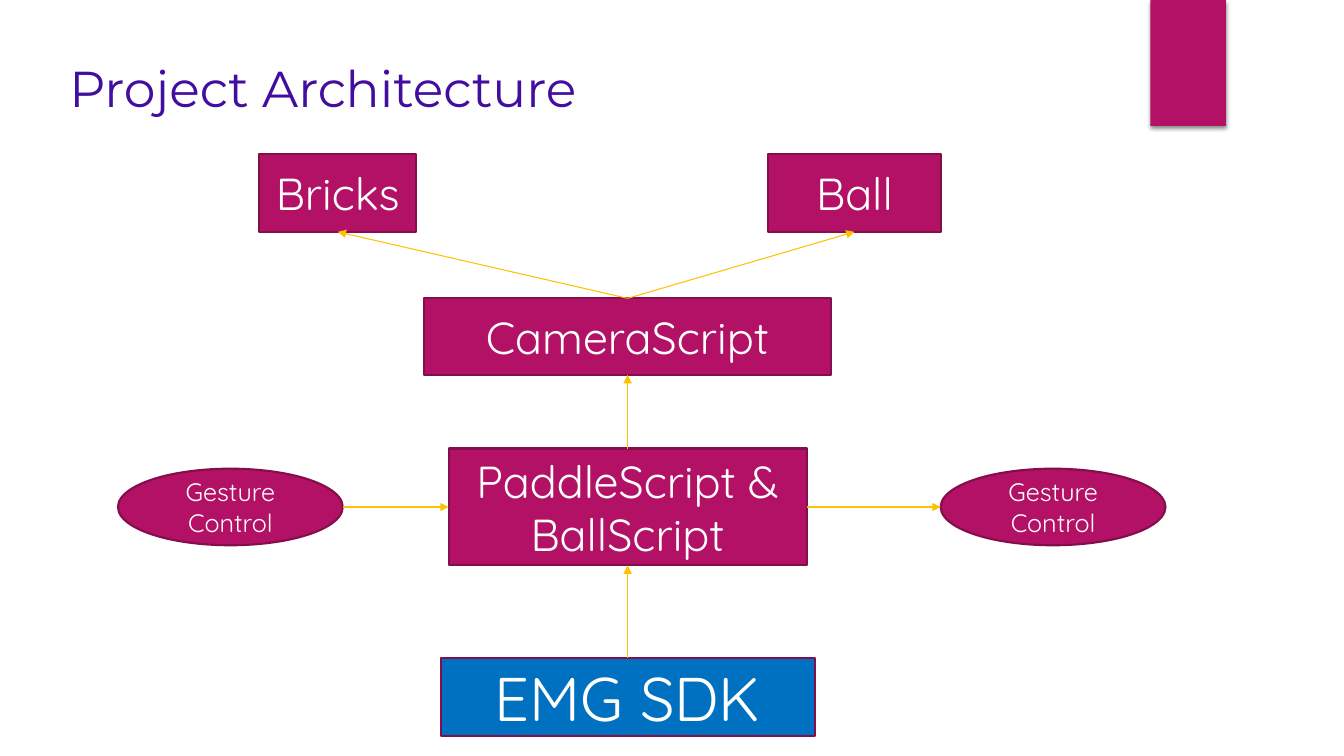
from dataclasses import dataclass

from lxml.etree import SubElement
from pptx import Presentation
from pptx.dml.color import RGBColor as RGB
from pptx.enum.shapes import MSO_CONNECTOR as Connector, MSO_SHAPE as Shape
from pptx.enum.text import MSO_ANCHOR as Anchor, PP_ALIGN as Align
from pptx.oxml.ns import qn
from pptx.util import Emu, Pt

EMU_PER_PX = 9144  # 100 px to the inch
TOP, LEFT, BOTTOM, RIGHT = range(4)


@dataclass(frozen=True)
class Theme:
    magenta: RGB = RGB.from_string("B31166")
    outline: RGB = RGB.from_string("840D4B")
    blue: RGB = RGB.from_string("0070C0")
    arrow: RGB = RGB.from_string("FFC000")
    title: RGB = RGB.from_string("420EA0")
    label: RGB = RGB.from_string("FFFFFF")
    title_font: str = "Montserrat"
    label_font: str = "Quicksand"
    title_size: int = 36
    sdk_size: int = 44
    script_size: int = 32
    gesture_size: int = 18


THEME = Theme()


def px(length):
    return Emu(round(length * EMU_PER_PX))


def style_text(paragraph, font_name, size, color):
    for run in paragraph.runs:
        run.font.name = font_name
        run.font.size = Pt(size)
        run.font.color.rgb = color


def add_ribbon(slide, *box):
    ribbon = slide.shapes.add_shape(Shape.RECTANGLE, *map(px, box))
    ribbon.fill.solid()
    ribbon.fill.fore_color.rgb = THEME.magenta
    ribbon.line.fill.background()
    ribbon.shadow.inherit = False
    effects = ribbon.element.spPr.find(qn("a:effectLst"))
    shadow = SubElement(effects, qn("a:outerShdw"), blurRad=str(Pt(3)),
                        dist=str(Pt(2)), dir="5400000", rotWithShape="0")
    black = SubElement(shadow, qn("a:srgbClr"), val="000000")
    SubElement(black, qn("a:alpha"), val="45000")


def add_title(slide, text, *box):
    title = slide.shapes.add_textbox(*map(px, box))
    title.text_frame.word_wrap = True
    title.text_frame.text = text
    style_text(title.text_frame.paragraphs[0], THEME.title_font,
               THEME.title_size, THEME.title)


def add_node(slide, text, box, size=THEME.script_size, fill=THEME.magenta,
             outline_shape=Shape.RECTANGLE):
    node = slide.shapes.add_shape(outline_shape, *map(px, box))
    node.shadow.inherit = False
    node.fill.solid()
    node.fill.fore_color.rgb = fill
    node.line.color.rgb = THEME.outline
    node.line.width = Pt(1.5)
    frame = node.text_frame
    frame.word_wrap = True
    frame.vertical_anchor = Anchor.MIDDLE
    frame.text = text
    frame.paragraphs[0].alignment = Align.CENTER
    style_text(frame.paragraphs[0], THEME.label_font, size, THEME.label)
    return node


def add_gesture(slide, left):
    return add_node(slide, "Gesture Control", (left, 465, 223, 76),
                    THEME.gesture_size, outline_shape=Shape.OVAL)


def side_middle(node, side):
    x = {LEFT: node.left, RIGHT: node.left + node.width}
    y = {TOP: node.top, BOTTOM: node.top + node.height}
    return (x.get(side, node.left + node.width // 2),
            y.get(side, node.top + node.height // 2))


def add_arrow(slide, source, source_side, target, target_side):
    arrow = slide.shapes.add_connector(
        Connector.STRAIGHT, *side_middle(source, source_side),
        *side_middle(target, target_side))
    # Ovals number their connection sites differently, so only boxes are joined
    if source.auto_shape_type == Shape.RECTANGLE:
        arrow.begin_connect(source, source_side)
    if target.auto_shape_type == Shape.RECTANGLE:
        arrow.end_connect(target, target_side)
    arrow.line.color.rgb = THEME.arrow
    arrow.line.width = Pt(0.75)
    properties = arrow.element.spPr
    SubElement(properties.find(qn("a:ln")), qn("a:tailEnd"), type="triangle")
    SubElement(properties, qn("a:effectLst"))


def main():
    deck = Presentation()
    deck.slide_width, deck.slide_height = px(1333), px(750)
    slide = deck.slides.add_slide(deck.slide_layouts[6])

    # Header
    add_ribbon(slide, 1141, 0, 75, 125)
    add_title(slide, "Project Architecture", 59, 52, 958, 77)

    # Components
    bricks = add_node(slide, "Bricks", (257, 153, 156, 77))
    ball = add_node(slide, "Ball", (762, 153, 171, 77))
    camera = add_node(slide, "CameraScript", (421, 296, 403, 76))
    paddle = add_node(slide, "PaddleScript & BallScript", (445, 445, 355, 116))
    gesture_in = add_gesture(slide, 117)
    gesture_out = add_gesture(slide, 933)
    sdk = add_node(slide, "EMG SDK", (437, 653, 371, 77),
                   THEME.sdk_size, THEME.blue)

    # Data flow
    for flow in (
        (sdk, TOP, paddle, BOTTOM),
        (paddle, TOP, camera, BOTTOM),
        (paddle, RIGHT, gesture_out, LEFT),
        (gesture_in, RIGHT, paddle, LEFT),
        (camera, TOP, ball, BOTTOM),
        (camera, TOP, bricks, BOTTOM),
    ):
        add_arrow(slide, *flow)

    deck.save("out.pptx")


if __name__ == "__main__":
    main()
